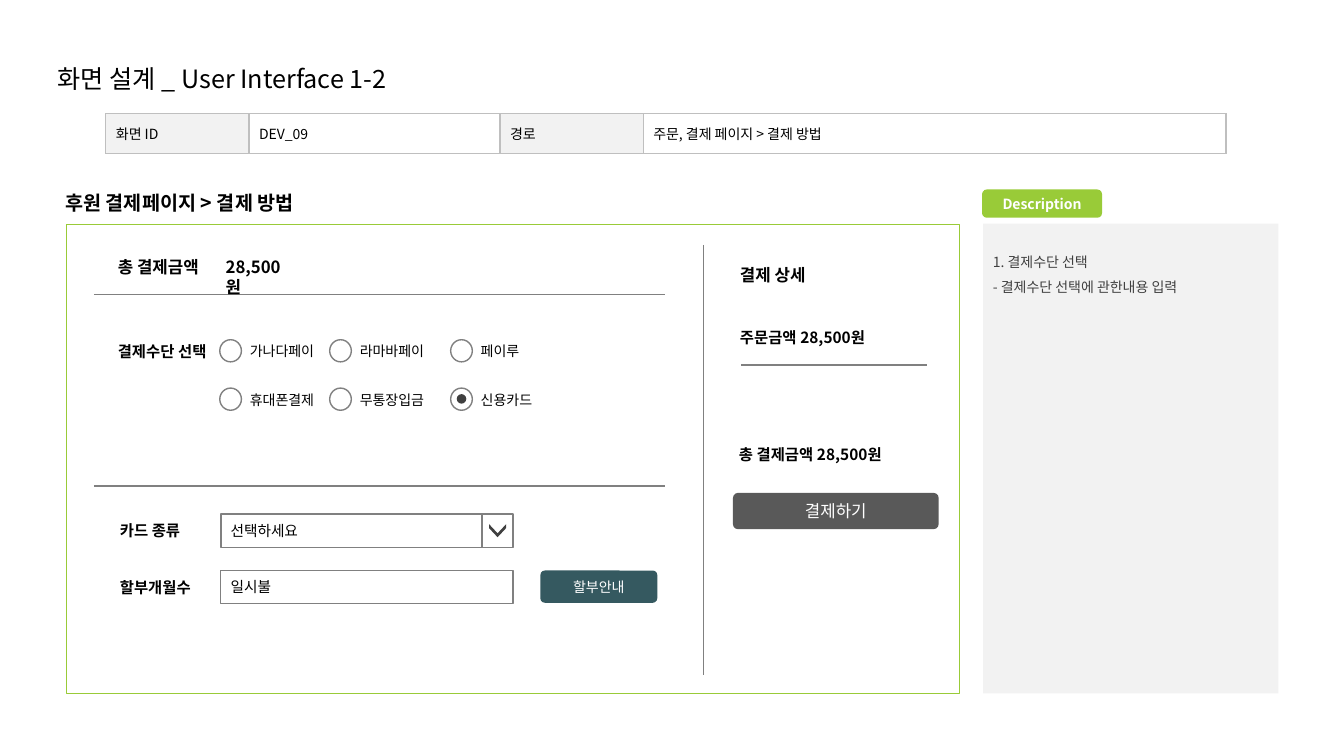
from dataclasses import dataclass
from itertools import product
from typing import Optional

from lxml.etree import SubElement
from pptx import Presentation
from pptx.dml.color import RGBColor
from pptx.enum.shapes import MSO_CONNECTOR as Connector, MSO_SHAPE as Preset
from pptx.enum.text import MSO_ANCHOR as Anchor, PP_ALIGN as Align
from pptx.oxml.ns import qn
from pptx.util import Inches, Pt

FONT = "Noto Sans CJK KR"
BLACK = RGBColor(0x00, 0x00, 0x00)
WHITE = RGBColor(0xFF, 0xFF, 0xFF)
DARK = RGBColor(0x40, 0x40, 0x40)
CHARCOAL = RGBColor(0x59, 0x59, 0x59)
GREY = RGBColor(0x80, 0x80, 0x80)
BORDER = RGBColor(0xBF, 0xBF, 0xBF)
PALE = RGBColor(0xF2, 0xF2, 0xF2)
GREEN = RGBColor(0x99, 0xCB, 0x38)
TEAL = RGBColor(0x35, 0x59, 0x60)

GRID_COLS, GRID_ROWS = 133.3, 75
WIDTH, HEIGHT = Inches(13.33), Inches(7.5)


@dataclass(frozen=True)
class Box:
    """Place on the slide in grid columns and rows."""
    col: float
    row: float
    cols: float
    rows: float

    def emu(self) -> tuple[int, int, int, int]:
        """Return left, top, width and height."""
        return across(self.col), down(self.row), across(self.cols), down(self.rows)


@dataclass(frozen=True)
class Style:
    """Look of a text."""
    size: float
    color: RGBColor = BLACK
    bold: bool = False
    align: Align = Align.LEFT
    spacing: float = 1.0


@dataclass(frozen=True)
class Label:
    """Free text on the wireframe."""
    text: str
    box: Box
    style: Style
    wrap: bool = False
    anchor: Anchor = Anchor.TOP


@dataclass(frozen=True)
class Panel:
    """Preset shape with an optional caption."""
    box: Box
    preset: Preset = Preset.RECTANGLE
    fill: Optional[RGBColor] = WHITE
    line: Optional[RGBColor] = None
    text: str = ""
    style: Style = Style(10.5)
    adjust: Optional[float] = None
    turn: float = 0
    anchor: Anchor = Anchor.MIDDLE
    top_margin: float = 0.5


def across(cols: float) -> int:
    """Convert grid columns to EMU."""
    return round(WIDTH * cols / GRID_COLS)


def down(rows: float) -> int:
    """Convert grid rows to EMU."""
    return round(HEIGHT * rows / GRID_ROWS)


def write(frame, text: str, style: Style) -> None:
    """Fill a text frame, one paragraph per line."""
    frame.text = text
    for paragraph in frame.paragraphs:
        paragraph.alignment = style.align
        paragraph.line_spacing = style.spacing
        font = paragraph.font
        font.name, font.size, font.bold = FONT, Pt(style.size), style.bold
        font.color.rgb = style.color
        for properties in paragraph._p.iter(qn("a:defRPr")):
            SubElement(properties, qn("a:ea"), typeface=FONT)


def draw_label(shapes, label: Label) -> None:
    """Add a text box."""
    frame = shapes.add_textbox(*label.box.emu()).text_frame
    frame.word_wrap = label.wrap
    frame.vertical_anchor = label.anchor
    write(frame, label.text, label.style)


def draw_panel(shapes, panel: Panel) -> None:
    """Add a preset shape."""
    shape = shapes.add_shape(panel.preset, *panel.box.emu())
    shape.shadow.inherit = False
    shape.rotation = panel.turn
    if panel.adjust is not None:
        shape.adjustments[0] = panel.adjust
    for part, color in ((shape.fill, panel.fill), (shape.line.fill, panel.line)):
        if color is None:
            part.background()
        else:
            part.solid()
            part.fore_color.rgb = color
    if panel.line is not None:
        shape.line.width = Pt(1)
    if panel.text:
        shape.text_frame.vertical_anchor = panel.anchor
        shape.text_frame.margin_top = down(panel.top_margin)
        write(shape.text_frame, panel.text, panel.style)


def draw_rule(shapes, rule: Box) -> None:
    """Add a thin grey line."""
    left, top, width, height = rule.emu()
    line = shapes.add_connector(Connector.STRAIGHT, left, top, left + width, top + height)
    line.line.color.rgb, line.line.width = GREY, Pt(1)
    SubElement(line._element.spPr, qn("a:effectLst"))


def draw_radio(shapes, text: str, col: float, row: float, chosen: bool) -> None:
    """Add one payment option as a group."""
    option = shapes.add_group_shape().shapes
    draw_label(option, Label(text, Box(col + 2, row - 0.2, 9, 2.7), Style(10), anchor=Anchor.MIDDLE))
    draw_panel(option, Panel(Box(col, row, 2.15, 2.2), Preset.OVAL, line=GREY))
    if chosen:
        draw_panel(option, Panel(Box(col + 0.6, row + 0.6, 0.95, 0.95), Preset.OVAL, DARK))


def draw_header(shapes, box: Box, columns: list[tuple[str, float]]) -> None:
    """Add the table with the screen's data."""
    table = shapes.add_table(1, len(columns), *box.emu()).table
    for index, (text, cols) in enumerate(columns):
        table.columns[index].width = across(cols)
        cell = table.cell(0, index)
        cell.vertical_anchor = Anchor.MIDDLE
        write(cell.text_frame, text, Style(10))
        for side in ("L", "R", "T", "B"):
            border = SubElement(cell._tc.get_or_add_tcPr(), qn(f"a:ln{side}"), w=str(Pt(1)))
            SubElement(SubElement(border, qn("a:solidFill")), qn("a:srgbClr"), val=str(BORDER))
        cell.fill.solid()
        cell.fill.fore_color.rgb = WHITE if index % 2 else PALE


BOLD_11, BOLD_12 = Style(11, bold=True), Style(12, bold=True)
AMOUNT = Style(11, bold=True, spacing=1.5)
LABELS = [
    Label("후원 결제페이지 > 결제 방법", Box(5.5, 18.4, 28.4, 3.4), Style(14, bold=True)),
    Label("총 결제금액", Box(10.7, 25, 11.3, 3), BOLD_12),
    Label("28,500원", Box(21.4, 25, 8.6, 3), BOLD_12, wrap=True),
    Label("결제 상세", Box(72.4, 25.8, 9.6, 3), BOLD_12),
    Label("주문금액 28,500원", Box(72.4, 31.1, 15.7, 3.5), AMOUNT),
    Label("총 결제금액 28,500원", Box(72.3, 42.7, 17.3, 3.5), AMOUNT),
    Label("결제수단 선택", Box(10.7, 33.4, 12, 2.9), BOLD_11),
    Label("카드 종류", Box(10.9, 51.2, 8.9, 2.9), BOLD_11),
    Label("할부개월수", Box(10.9, 56.9, 9.7, 2.9), BOLD_11),
]
ROUNDED = Preset.ROUNDED_RECTANGLE
PANELS = [
    Panel(Box(97.5, 22.2, 29.3, 46.6), fill=PALE, text="1. 결제수단 선택\n- 결제수단 선택에 관한내용 입력",
          style=Style(10, DARK, spacing=1.5), anchor=Anchor.TOP, top_margin=2.1),
    Panel(Box(97.4, 18.8, 11.9, 2.8), ROUNDED, GREEN, text="Description",
          style=Style(10, WHITE, True, Align.CENTER)),
    Panel(Box(6.6, 22.3, 88.6, 46.5), fill=None, line=GREEN),
    Panel(Box(72.7, 48.9, 20.4, 3.6), ROUNDED, CHARCOAL, text="결제하기",
          style=Style(12, WHITE, align=Align.CENTER), adjust=0.14),
    Panel(Box(21.9, 51, 25.9, 3.3), line=GREY, text="선택하세요"),
    Panel(Box(47.8, 51, 3.1, 3.3), line=GREY),
    Panel(Box(48.7, 51.8, 1.3, 1.7), Preset.CHEVRON, DARK, adjust=0.7, turn=90),
    Panel(Box(21.9, 56.6, 29, 3.3), line=GREY, text="일시불"),
    Panel(Box(53.6, 56.6, 11.6, 3.2), ROUNDED, TEAL, text="할부안내",
          style=Style(10, WHITE, align=Align.CENTER), adjust=0.14),
]
RULES = [Box(69.8, 24.3, 0, 42.7), Box(9.3, 29.2, 56.7, 0), Box(9.3, 48.2, 56.7, 0), Box(73.5, 36.2, 18.4, 0)]
PAYMENTS = ["가나다페이", "라마바페이", "페이루", "휴대폰결제", "무통장입금", "신용카드"]
CHOSEN = "신용카드"
HEADER = [("화면 ID", 14.2), ("DEV_09", 24.9), ("경로", 14.2), ("주문, 결제 페이지 > 결제 방법", 57.8)]


def main() -> None:
    """Build the screen design slide."""
    deck = Presentation()
    deck.slide_width, deck.slide_height = WIDTH, HEIGHT
    slide = deck.slides.add_slide(deck.slide_layouts[5])
    shapes, title = slide.shapes, slide.shapes.title
    title.left, title.top, title.width, title.height = Box(4.7, 4.4, 59.5, 6.8).emu()
    title.text_frame.vertical_anchor = Anchor.MIDDLE
    write(title.text_frame, "화면 설계 _ User Interface 1-2", Style(18))
    for panel in PANELS:
        draw_panel(shapes, panel)
    for rule in RULES:
        draw_rule(shapes, rule)
    for label in LABELS:
        draw_label(shapes, label)
    for text, (row, col) in zip(PAYMENTS, product((33.7, 38.5), (21.8, 32.7, 44.7))):
        draw_radio(shapes, text, col, row, text == CHOSEN)
    draw_header(shapes, Box(10.5, 11.3, 111.1, 3.9), HEADER)
    deck.save("out.pptx")


if __name__ == "__main__":
    main()
